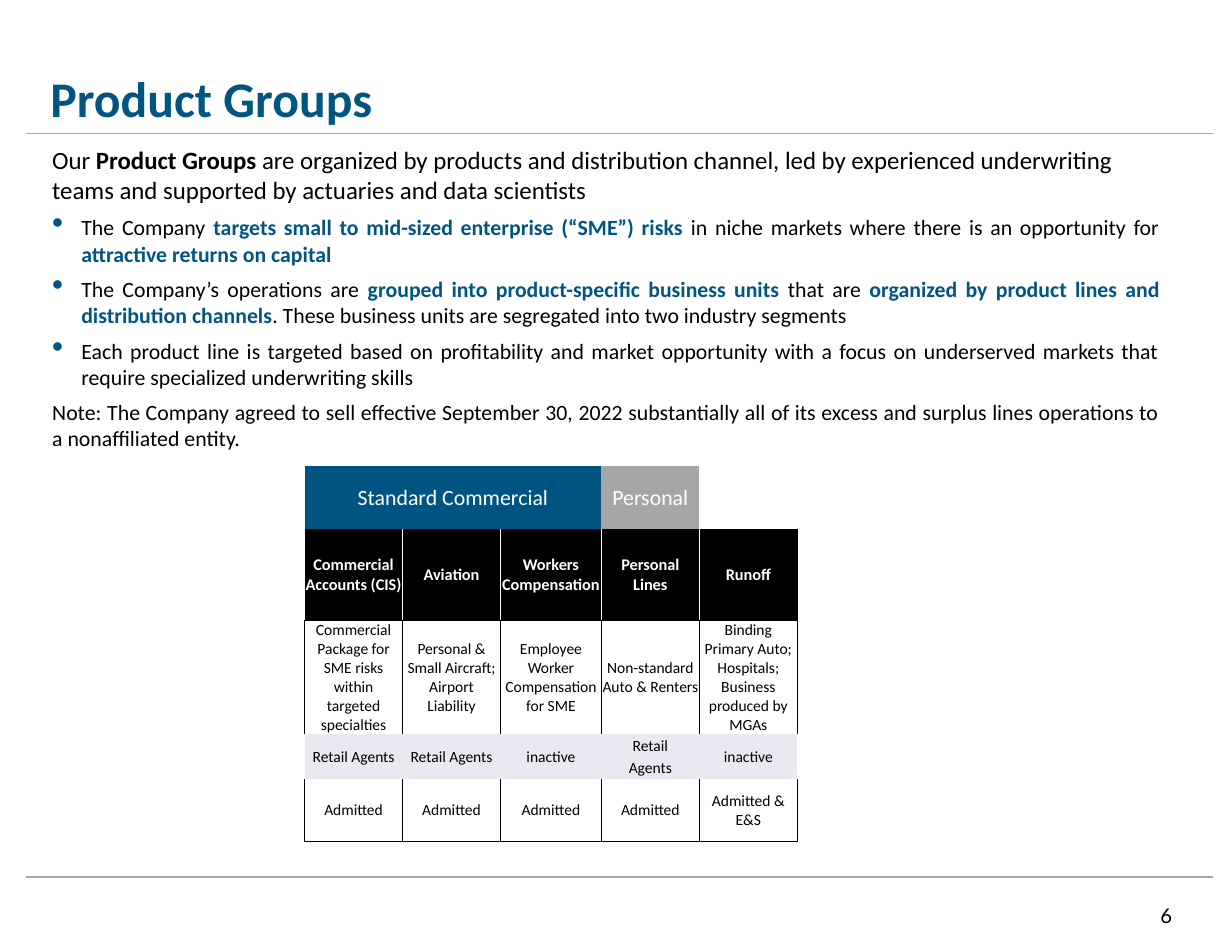
from lxml.etree import SubElement
from pptx import Presentation
from pptx.dml.color import RGBColor
from pptx.enum.text import MSO_ANCHOR, PP_ALIGN
from pptx.oxml.ns import qn
from pptx.util import Pt

COLORS = {
    "blue": "005581", "header_blue": "005482", "gray": "A6A6A6",
    "black": "000000", "white": "FFFFFF", "shade": "E9EAF1",
}


def rgb(name):
    return RGBColor.from_string(COLORS[name])


def add_run(p, text, size=14, color="black", bold=False, font="Calibri"):
    r = p.add_run()
    r.text = text
    r.font.name = font
    r.font.size = Pt(size)
    r.font.bold = bold
    r.font.color.rgb = rgb(color)
    return r


def add_bullet(p):
    pPr = p._p.get_or_add_pPr()
    pPr.set("marL", str(Pt(18.7)))
    pPr.set("indent", str(-Pt(18.7)))
    SubElement(SubElement(pPr, qn("a:buClr")), qn("a:srgbClr"), val=COLORS["blue"])
    SubElement(pPr, qn("a:buSzPct"), val="150000")
    SubElement(pPr, qn("a:buChar"), char="•")


def set_borders(cell, borders):
    """Draw the given sides (L, R, T, B -> colour, width) and clear the others."""
    tcPr = cell._tc.get_or_add_tcPr()
    for side in "LRTB":
        color, width = borders.get(side, (None, 0))
        ln = SubElement(tcPr, qn("a:ln" + side), w=str(Pt(width)))
        if color:
            fill = SubElement(ln, qn("a:solidFill"))
            SubElement(fill, qn("a:srgbClr"), val=COLORS[color])
        else:
            SubElement(ln, qn("a:noFill"))


class SlideBuilder:
    def __init__(self, prs):
        self.slide = prs.slides.add_slide(prs.slide_layouts[6])

    def rule(self, y, width):
        line = self.slide.shapes.add_connector(1, Pt(16.6), Pt(y), Pt(780), Pt(y))
        line.line.color.rgb = rgb("gray")
        line.line.width = Pt(width)
        SubElement(line._element.spPr, qn("a:effectLst"))

    def text_box(self, x, y, w, h, anchor=MSO_ANCHOR.TOP, inset=(7.6, 4)):
        tf = self.slide.shapes.add_textbox(Pt(x), Pt(y), Pt(w), Pt(h)).text_frame
        tf.word_wrap = True
        tf.vertical_anchor = anchor
        tf.margin_left = tf.margin_right = Pt(inset[0])
        tf.margin_top = tf.margin_bottom = Pt(inset[1])
        return tf

    def paragraph(self, tf, runs, first=False, bullet=False, align=PP_ALIGN.JUSTIFY, size=14):
        p = tf.paragraphs[0] if first else tf.add_paragraph()
        if bullet:
            add_bullet(p)
        p.alignment = align
        p.space_after = Pt(6)
        for text, fmt in runs:
            add_run(p, text, size=size, **fmt)

    def table(self, x, y, widths, heights):
        frame = self.slide.shapes.add_table(
            len(heights), len(widths), Pt(x), Pt(y), Pt(sum(widths)), Pt(sum(heights)))
        table = frame.table
        table.first_row = table.horz_banding = False
        for column, width in zip(table.columns, widths):
            column.width = Pt(width)
        for row, height in zip(table.rows, heights):
            row.height = Pt(height)
        return table

    def cell(self, cell, text, fill=None, borders=None, **fmt):
        set_borders(cell, borders or {})
        if fill:
            cell.fill.solid()
            cell.fill.fore_color.rgb = rgb(fill)
        else:
            cell.fill.background()
        cell.margin_left = cell.margin_right = cell.margin_top = Pt(0.7)
        cell.margin_bottom = 0
        cell.vertical_anchor = MSO_ANCHOR.MIDDLE
        if text:
            p = cell.text_frame.paragraphs[0]
            p.alignment = PP_ALIGN.CENTER
            add_run(p, text, **fmt)


PLAIN = {}
BOLD = {"bold": True}
KEY = {"bold": True, "color": "blue"}

INTRO = [
    ("Our ", PLAIN), ("Product Groups ", BOLD),
    ("are organized by products and distribution channel, led by experienced "
     "underwriting teams and supported by actuaries and data scientists", PLAIN),
]
BULLETS = [
    [("The Company ", PLAIN),
     ("targets small to mid-sized enterprise (“SME”) risks", KEY),
     (" in niche markets where there is an opportunity for ", PLAIN),
     ("attractive returns on capital", KEY)],
    [("The Company’s operations are ", PLAIN),
     ("grouped into product-specific business units", KEY),
     (" that are ", PLAIN),
     ("organized by product lines and distribution channels", KEY),
     (". These business units are segregated into two industry segments", PLAIN)],
    [("Each product line is targeted based on profitability and market opportunity with a "
      "focus on underserved markets that require specialized underwriting skills", PLAIN)],
]
NOTE = [("Note: The Company agreed to sell effective September 30, 2022 substantially all of "
         "its excess and surplus lines operations to a nonaffiliated entity.", PLAIN)]

SEGMENTS = [("Standard Commercial", "header_blue"), ("", "header_blue"),
            ("", "header_blue"), ("Personal", "gray"), ("", None)]
UNITS = ["Commercial Accounts (CIS)", "Aviation", "Workers Compensation",
         "Personal Lines", "Runoff"]
PRODUCTS = ["Commercial Package for SME risks within targeted specialties",
            "Personal & Small Aircraft; Airport Liability",
            "Employee Worker Compensation for SME",
            "Non-standard Auto & Renters",
            "Binding Primary Auto; Hospitals; Business produced by MGAs"]
CHANNELS = ["Retail Agents", "Retail Agents", "inactive", "Retail", "inactive"]
CHANNELS_BELOW = ["", "", "", "Agents", ""]
MARKETS = ["Admitted"] * 4 + ["Admitted & E&S"]


def add_product_table(s):
    table = s.table(195.8, 299.5, [63, 63, 64.8, 63, 63],
                    [40.6, 58.6, 73.3, 14.4, 14.4, 40])
    table.cell(0, 0).merge(table.cell(0, 2))
    for col in (0, 1, 2, 4):
        table.cell(3, col).merge(table.cell(4, col))

    thin, solid, white = ("black", 0.5), ("black", 1), ("white", 1)
    for col, (text, fill) in enumerate(SEGMENTS):
        s.cell(table.cell(0, col), text, fill, {"B": thin}, color="white")
    last = len(UNITS) - 1
    for col in range(len(UNITS)):
        right = thin if col == last else solid
        s.cell(table.cell(1, col), UNITS[col], "black",
               {"L": white, "R": thin if col == last else white, "T": thin, "B": thin},
               size=10.5, color="white", bold=True)
        s.cell(table.cell(2, col), PRODUCTS[col], None,
               {"L": solid, "R": right, "T": thin}, size=10)
        s.cell(table.cell(3, col), CHANNELS[col], "shade", size=10)
        s.cell(table.cell(4, col), CHANNELS_BELOW[col], "shade", size=10)
        s.cell(table.cell(5, col), MARKETS[col], None,
               {"L": solid, "R": right, "B": solid}, size=10)


def main():
    prs = Presentation()
    prs.slide_width, prs.slide_height = Pt(792), Pt(612)
    s = SlideBuilder(prs)
    s.rule(563.8, 1.5)
    s.rule(85.7, 1)

    number = s.text_box(576, 576, 185, 25.2, MSO_ANCHOR.MIDDLE)
    number.paragraphs[0].alignment = PP_ALIGN.RIGHT
    add_run(number.paragraphs[0], "6", size=13, font="Lato")

    title = s.text_box(28.8, 31.7, 734.4, 50.4, MSO_ANCHOR.BOTTOM, inset=(3.6, 0))
    add_run(title.paragraphs[0], "Product Groups", size=32, color="blue", bold=True)

    body = s.text_box(26, 89.3, 727.2, 76.3)
    s.paragraph(body, INTRO, first=True, align=PP_ALIGN.LEFT, size=16)
    for runs in BULLETS:
        s.paragraph(body, runs, bullet=True)
    s.paragraph(body, NOTE)

    add_product_table(s)
    prs.save("out.pptx")


if __name__ == "__main__":
    main()
